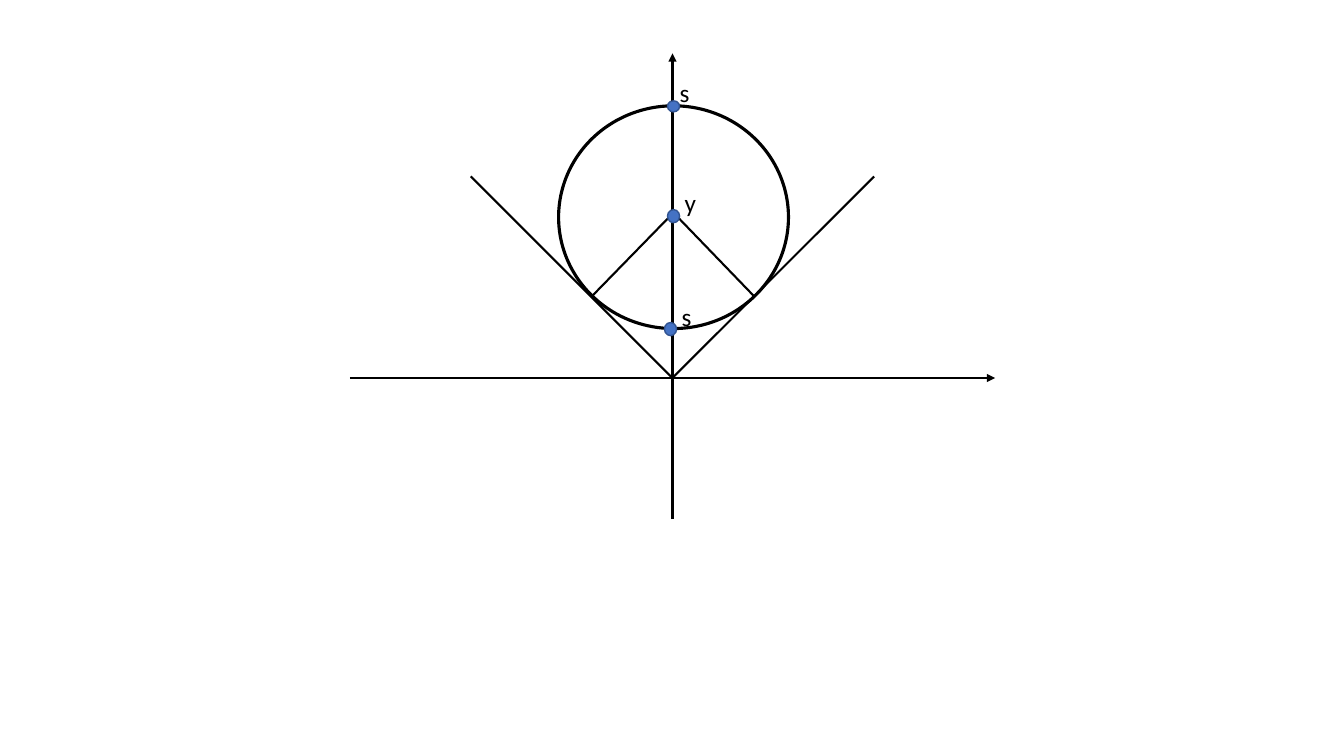
from pptx import Presentation
from pptx.dml.color import RGBColor
from pptx.enum.shapes import MSO_CONNECTOR, MSO_SHAPE
from pptx.enum.text import MSO_AUTO_SIZE
from pptx.oxml.ns import qn
from pptx.util import Inches, Pt
from lxml.etree import SubElement

THEME = {
    "ink": RGBColor(0x00, 0x00, 0x00),
    "point": RGBColor(0x44, 0x72, 0xC4),
    "point_edge": RGBColor(0x32, 0x54, 0x91),
    "font": "Calibri",
    "label_size": Pt(18),
    "line_width": Pt(1.5),
    "circle_width": Pt(2.25),
    "edge_width": Pt(1),
}

deck = Presentation()
deck.slide_width, deck.slide_height = Inches(13.33), Inches(7.5)
page = deck.slides.add_slide(deck.slide_layouts[6])


def add_line(start, end, arrow=False):
    line = page.shapes.add_connector(
        MSO_CONNECTOR.STRAIGHT, *map(Inches, (*start, *end)))
    line.line.color.rgb = THEME["ink"]
    line.line.width = THEME["line_width"]
    properties = line.line._get_or_add_ln()
    if arrow:
        SubElement(properties, qn("a:tailEnd"), type="triangle")
    SubElement(properties.getparent(), qn("a:effectLst"))


def add_ellipse(left, top, width, height, edge, edge_width, fill=None):
    ellipse = page.shapes.add_shape(
        MSO_SHAPE.OVAL, *map(Inches, (left, top, width, height)))
    ellipse.shadow.inherit = False
    ellipse.line.color.rgb = edge
    ellipse.line.width = edge_width
    if fill is None:
        ellipse.fill.background()
    else:
        ellipse.fill.solid()
        ellipse.fill.fore_color.rgb = fill


# Radii from the centre to the tangent points
add_line((7.48, 2.94), (6.66, 2.09))
add_line((5.87, 2.94), (6.65, 2.14))

# Circle
add_ellipse(5.54, 1.05, 2.28, 2.21, THEME["ink"], THEME["circle_width"])

# Axes
origin = (6.67, 3.75)
add_line((3.47, origin[1]), (9.87, origin[1]), arrow=True)
add_line((origin[0], 5.15), (origin[0], 0.53), arrow=True)

# Diagonals tangent to the circle
for side in (1, -1):
    add_line((origin[0] + 2 * side, origin[1] - 2), origin)

# Points on the vertical axis: name, point left, top, height, label left, top
points = [
    ("s", 6.59, 3.2, 0.13, 6.68, 2.94),
    ("s", 6.62, 1, 0.11, 6.66, 0.72),
    ("y", 6.62, 2.08, 0.13, 6.71, 1.81),
]
for name, left, top, height, label_left, label_top in points:
    add_ellipse(left, top, 0.12, height,
                THEME["point_edge"], THEME["edge_width"], THEME["point"])
    box = page.shapes.add_textbox(
        *map(Inches, (label_left, label_top, 0.18, 0.4)))
    frame = box.text_frame
    frame.word_wrap = False
    frame.auto_size = MSO_AUTO_SIZE.SHAPE_TO_FIT_TEXT
    frame.margin_left, frame.margin_right = Inches(0.08), 0
    para = frame.paragraphs[0]
    para.text = name
    para.font.name = THEME["font"]
    para.font.size = THEME["label_size"]
    para.font.color.rgb = THEME["ink"]

deck.save("out.pptx")
